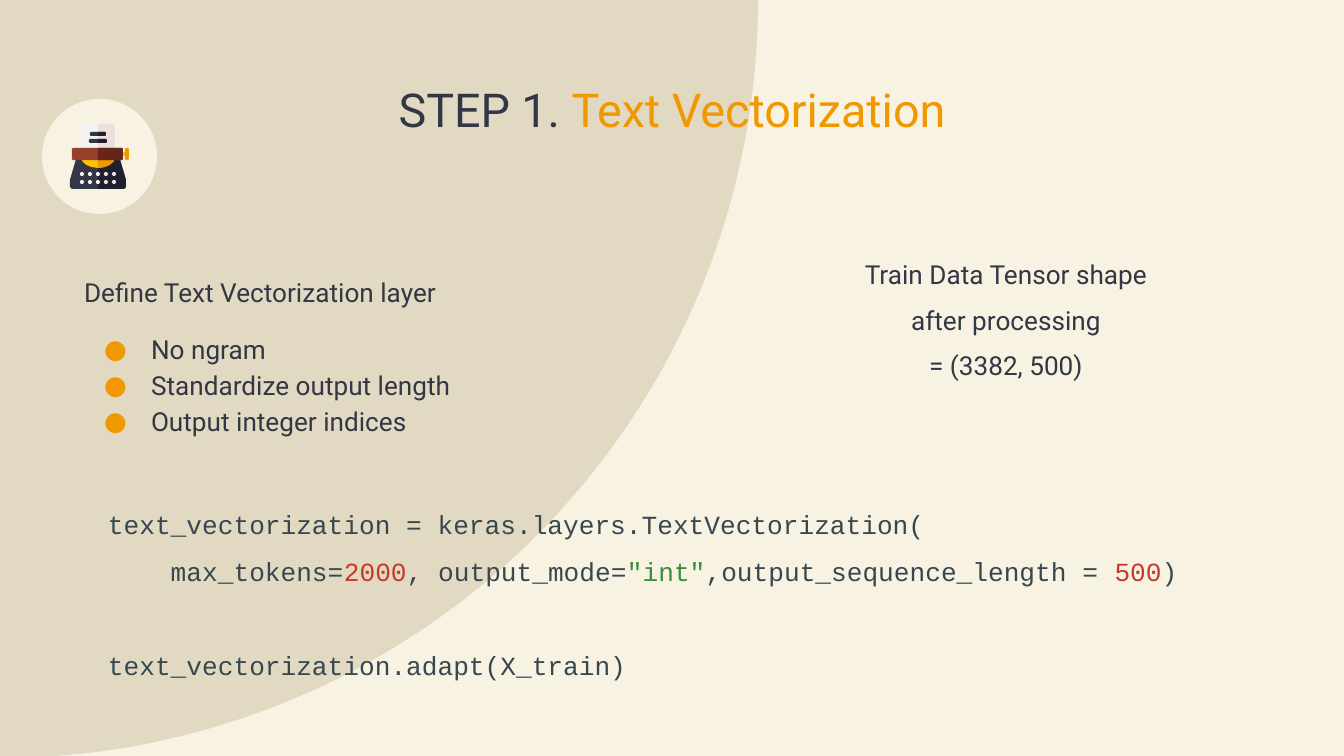
import math

import lxml.etree
import pptx
import pptx.dml.color
import pptx.enum.shapes
import pptx.enum.text
import pptx.oxml.ns
import pptx.util

RGB = pptx.dml.color.RGBColor
SHAPE = pptx.enum.shapes.MSO_SHAPE
ALIGN = pptx.enum.text.PP_ALIGN
ANCHOR = pptx.enum.text.MSO_ANCHOR
FIT = pptx.enum.text.MSO_AUTO_SIZE
Pt = pptx.util.Pt

CREAM = RGB(0xF7, 0xF2, 0xE2)
SAND = RGB(0xE2, 0xD9, 0xC3)
INK = RGB(0x33, 0x36, 0x44)
NIGHT = RGB(0x20, 0x1F, 0x2F)
ORANGE = RGB(0xF0, 0x98, 0x00)
YELLOW = RGB(0xFF, 0xC2, 0x00)
PAPER = RGB(0xF3, 0xF3, 0xF3)
SHADE = RGB(0xEE, 0xE1, 0xDC)
RUST = RGB(0x95, 0x3F, 0x2C)
BROWN = RGB(0x65, 0x25, 0x1A)
SLATE = RGB(0x37, 0x47, 0x4F)
RED = RGB(0xC5, 0x39, 0x29)
GREEN = RGB(0x38, 0x8E, 0x3C)

SCALE = 914400 / 134.4
PAD = 13
BODY = {"name": "Roboto", "size": Pt(14), "bold": False}
HEAD = {"name": "Roboto", "size": Pt(25), "bold": False}
MONO = {"name": "Courier New", "size": Pt(14)}


def px(num):
    return pptx.util.Emu(round(num * SCALE))


def apply(item, form):
    for key, value in form.items():
        setattr(item, key, value)


def place(shape, box):
    apply(shape, dict(zip(("left", "top", "width", "height"), map(px, box))))


def paint(shape, color):
    shape.shadow.inherit = False
    shape.fill.solid()
    shape.fill.fore_color.rgb = color
    shape.line.fill.background()


def write(shape, rows, font, para, anchor=ANCHOR.TOP):
    frame = shape.text_frame
    edges = ("margin_left", "margin_top", "margin_right", "margin_bottom")
    apply(frame, dict.fromkeys(edges, px(PAD)))
    apply(frame, {"word_wrap": True, "auto_size": FIT.NONE,
                  "vertical_anchor": anchor})
    for num, row in enumerate(rows):
        line = frame.add_paragraph() if num else frame.paragraphs[0]
        apply(line, {"space_before": Pt(0), "space_after": Pt(0), **para})
        for text, color in row:
            run = line.add_run()
            run.text = text
            apply(run.font, font)
            run.font.color.rgb = color
    return frame.paragraphs


def bullet(line):
    props = line._p.get_or_add_pPr()
    props.set("marL", str(px(67)))
    props.set("indent", str(-px(47)))
    tag = pptx.oxml.ns.qn
    tint = lxml.etree.SubElement(props, tag("a:buClr"))
    lxml.etree.SubElement(tint, tag("a:srgbClr")).set("val", str(ORANGE))
    lxml.etree.SubElement(props, tag("a:buFont")).set("typeface", "Roboto")
    lxml.etree.SubElement(props, tag("a:buChar")).set("char", "●")


def backdrop(slide, box):
    slide.background.fill.solid()
    slide.background.fill.fore_color.rgb = CREAM
    pie = slide.shapes.add_shape(SHAPE.PIE, *map(px, box))
    pie.adjustments[0] = 108
    pie.adjustments[1] = 162
    pie.rotation = 180
    paint(pie, SAND)
    slide.shapes._spTree.insert(2, pie._element)


def title(slide, box):
    shape = slide.shapes.title
    place(shape, box)
    row = [("STEP 1. ", INK), ("Text Vectorization", ORANGE)]
    write(shape, [row], HEAD, {"alignment": ALIGN.CENTER}, ANCHOR.MIDDLE)


def layer(slide, box):
    left, top, width, height = box
    head, items = slide.placeholders[1], slide.placeholders[2]
    place(head, (left, top, width, 39))
    place(items, (left, top + 57, width, height - 57))
    form = {"line_spacing": 1.15, "alignment": ALIGN.LEFT}
    write(head, [[("Define Text Vectorization layer", INK)]], BODY, form)
    words = ("No ngram", "Standardize output length", "Output integer indices")
    for line in write(items, [[(word, INK)] for word in words], BODY, form):
        bullet(line)


def tensor(slide, box):
    shape = slide.placeholders[3]
    place(shape, box)
    words = ("Train Data Tensor shape", "after processing", "= (3382, 500)")
    form = {"line_spacing": 0.5, "alignment": ALIGN.CENTER}
    lines = write(shape, [[(word, INK)] for word in words], BODY, form)
    for line in lines[1:]:
        line.space_before = Pt(16)


def code(slide, box):
    shape = slide.shapes.add_textbox(*map(px, box))
    rows = [
        [("text_vectorization = keras.layers.TextVectorization(", SLATE)],
        [("    max_tokens=", SLATE), ("2000", RED), (", output_mode=", SLATE),
         ('"int"', GREEN), (",output_sequence_length = ", SLATE),
         ("500", RED), (")", SLATE)],
        [("text_vectorization.adapt(X_train)", SLATE)],
    ]
    lines = write(shape, rows, MONO, {"line_spacing": 1.5})
    lines[-1].space_before = Pt(25)


def bowl(x, y, wide, high):
    turns = [math.pi * n / 8 for n in range(9)]
    return [(x + wide * math.cos(t), y + high * math.sin(t)) for t in turns]


def slab(x, y, width, height):
    right, low = x + width, y + height
    return [(x + 1, y), (right - 1, y), (right, y + 1), (right, low - 1),
            (right - 1, low), (x + 1, low), (x, low - 1), (x, y + 1)]


def icon(slide, box):
    left, top, width, height = box
    disc = slide.shapes.add_shape(SHAPE.OVAL, *map(px, box))
    paint(disc, CREAM)
    group = slide.shapes.add_group_shape()
    mid = 56

    def draw(dots, color):
        ends = [(px(left + x), px(top + y)) for x, y in dots]
        pen = group.shapes.build_freeform(*ends[0])
        pen.add_line_segments(ends[1:], close=True)
        paint(pen.convert_to_shape(), color)

    base = [(35, 57), (28, 81), (28, 88), (30, 90),
            (82, 90), (84, 88), (84, 81), (77, 57)]
    parts = [
        (slab(39, 25, 34, 28), PAPER, SHADE),
        (base, INK, NIGHT),
        (bowl(mid, 58, 17, 11), YELLOW, ORANGE),
        (slab(30, 49, 51, 12), RUST, BROWN),
        (slab(83, 49, 4, 12), ORANGE, None),
        (slab(48, 33, 16, 4), INK, NIGHT),
        (slab(47, 40, 18, 4), INK, NIGHT),
    ]
    draw(slab(78, 53, 8, 4), YELLOW)
    for dots, color, dark in parts:
        draw(dots, color)
        if dark:
            half = [(max(x, mid), y) for x, y in dots]
            draw(list(dict.fromkeys(half)), dark)
    for row in range(2):
        for col in range(5):
            spot = (left + 38 + 8 * col, top + 73 + 8 * row, 4, 4)
            key = group.shapes.add_shape(SHAPE.OVAL, *map(px, spot))
            paint(key, PAPER if col < 3 else SHADE)


def main():
    deck = pptx.Presentation()
    apply(deck, {"slide_width": px(1344), "slide_height": px(756)})
    slide = deck.slides.add_slide(deck.slide_layouts[4])
    spare = slide.placeholders[4]._element
    spare.getparent().remove(spare)
    backdrop(slide, (-758, -758, 1516, 1516))
    title(slide, (175, 60, 994, 97))
    layer(slide, (71, 259, 511, 143))
    icon(slide, (42, 99, 115, 115))
    code(slide, (95, 480, 1152, 249))
    tensor(slide, (770, 259, 472, 39))
    deck.save("out.pptx")


if __name__ == "__main__":
    main()
